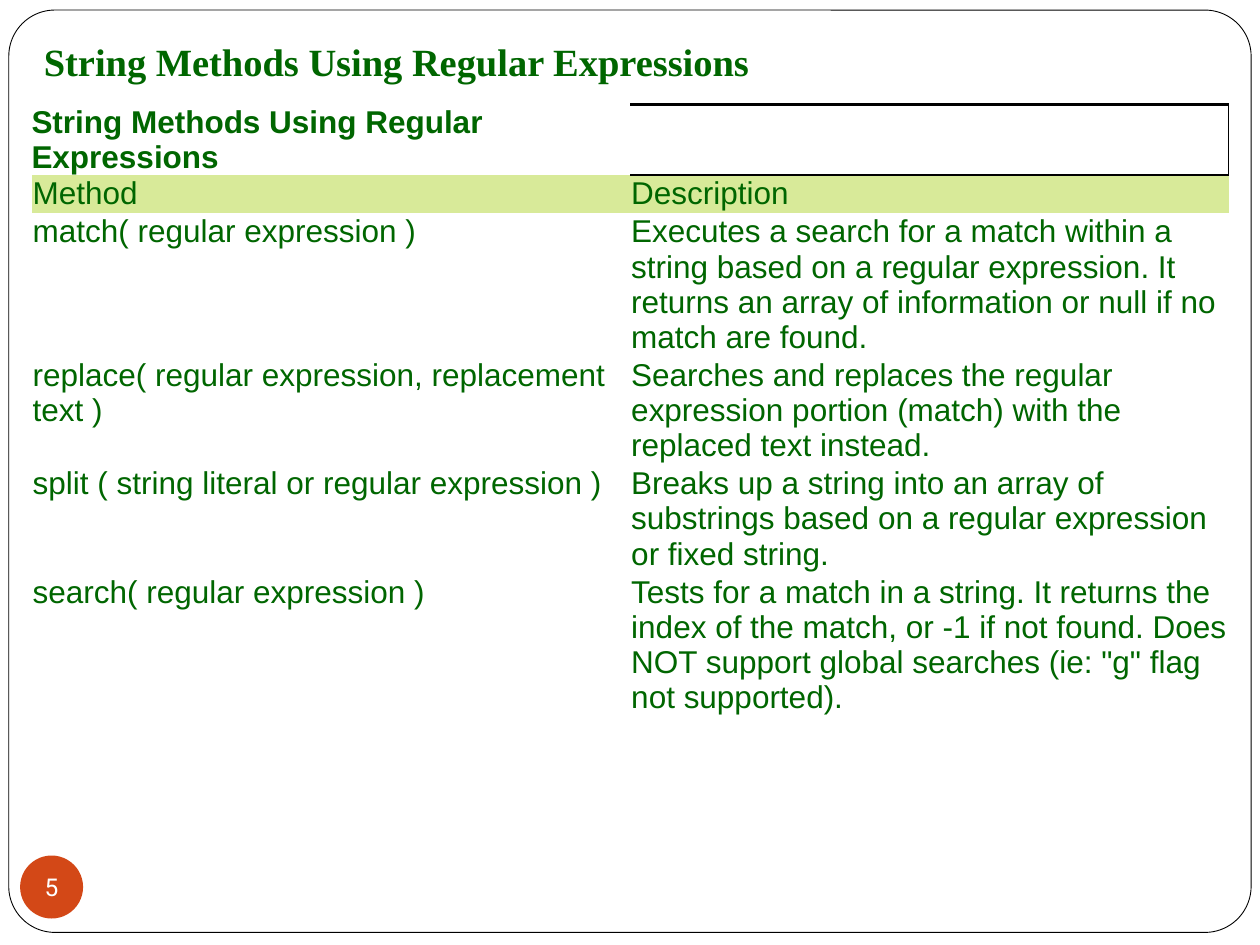
from lxml import etree
from pptx import Presentation
from pptx.dml.color import RGBColor
from pptx.enum.shapes import MSO_SHAPE
from pptx.enum.text import MSO_ANCHOR, PP_ALIGN
from pptx.oxml.ns import qn
from pptx.util import Inches, Pt

ROUNDED, ELLIPSE = MSO_SHAPE.ROUNDED_RECTANGLE, MSO_SHAPE.OVAL
MIDDLE, CENTER = MSO_ANCHOR.MIDDLE, PP_ALIGN.CENTER
GREEN, LIME, ORANGE, WHITE, BLACK = "006600", "D8EA99", "D34817", "FFFFFF", "000000"
NO_STYLE = "{2D5ABB26-0587-4C30-8999-92F81FD0307C}"
TITLE = "String Methods Using Regular Expressions"
MARGIN = 0.25
ROW_HEIGHTS = [0.44, 0.25, 0.93, 0.67, 0.69, 1.13]
ROWS = [
    (TITLE, ""),
    ("Method", "Description"),
    ("match( regular expression )",
     "Executes a search for a match within a string based on a regular expression. "
     "It returns an array of information or null if no match are found."),
    ("replace( regular expression, replacement text )",
     "Searches and replaces the regular expression portion (match) with the "
     "replaced text instead."),
    ("split ( string literal or regular expression )",
     "Breaks up a string into an array of substrings based on a regular expression "
     "or fixed string."),
    ("search( regular expression )",
     "Tests for a match in a string. It returns the index of the match, or -1 if not "
     'found. Does NOT support global searches (ie: "g" flag not supported).'),
]


def color(hex_value):
    """Turn a hex string into a colour."""
    return RGBColor.from_string(hex_value)


def write(frame, text, font_name, size, hex_value, bold=False):
    """Write one styled paragraph and return it."""
    paragraph = frame.paragraphs[0]
    paragraph.text = text
    font = paragraph.font
    font.name, font.size, font.bold = font_name, Pt(size), bold
    font.color.rgb = color(hex_value)
    return paragraph


def set_insets(holder, inset):
    """Give a cell or text frame the same inset on every side."""
    holder.margin_left = holder.margin_right = Inches(inset)
    holder.margin_top = holder.margin_bottom = Inches(inset)


def add_plain_shape(slide, kind, box, fill):
    """Add a filled preset shape without shadow."""
    shape = slide.shapes.add_shape(kind, *map(Inches, box))
    shape.shadow.inherit = False
    shape.fill.solid()
    shape.fill.fore_color.rgb = color(fill)
    return shape


def add_frame(slide):
    """Add the rounded outline around the slide."""
    frame = add_plain_shape(slide, ROUNDED, (0.07, 0.08, 9.86, 7.32), WHITE)
    frame.adjustments[0] = 0.05
    frame.line.color.rgb = color(BLACK)
    frame.line.width = Pt(0.5)


def add_page_badge(slide, number):
    """Add the round page number."""
    badge = add_plain_shape(slide, ELLIPSE, (0.16, 6.79, 0.5, 0.5), ORANGE)
    badge.line.fill.background()
    frame = badge.text_frame
    frame.word_wrap = False
    frame.vertical_anchor = MIDDLE
    set_insets(frame, 0)
    write(frame, number, "Roboto", 14, WHITE).alignment = CENTER


def add_title(slide):
    """Add the slide title."""
    box = slide.shapes.add_textbox(*map(Inches, (MARGIN, 0.25, 9.17, 0.47)))
    box.text_frame.word_wrap = True
    box.text_frame.vertical_anchor = MIDDLE
    write(box.text_frame, TITLE, "Times New Roman", 22, GREEN, bold=True)


def add_border(cell, side, width):
    """Draw a black border on one side of a cell."""
    properties = cell._tc.get_or_add_tcPr()
    line = etree.SubElement(properties, qn(f"a:{side}"), w=str(Pt(width)))
    fill = etree.SubElement(line, qn("a:solidFill"))
    etree.SubElement(fill, qn("a:srgbClr"), val=BLACK)


def add_method_table(slide):
    """Add the table of string methods."""
    box = (MARGIN, 0.83, 10 - 2 * MARGIN, sum(ROW_HEIGHTS))
    table = slide.shapes.add_table(len(ROWS), 2, *map(Inches, box)).table
    table.first_row = table.horz_banding = False
    table._tbl.tblPr.find(qn("a:tableStyleId")).text = NO_STYLE
    for side, width in (("lnR", 1), ("lnT", 1.5), ("lnB", 1)):
        add_border(table.cell(0, 1), side, width)
    for row, texts in enumerate(ROWS):
        table.rows[row].height = Inches(ROW_HEIGHTS[row])
        for column, text in enumerate(texts):
            cell = table.cell(row, column)
            set_insets(cell, 0.01 if row else 0)
            write(cell.text_frame, text, "Arial", 18, GREEN, bold=row == 0)
            if row == 1:
                cell.fill.solid()
                cell.fill.fore_color.rgb = color(LIME)
            else:
                cell.fill.background()


def main():
    """Build and save the slide."""
    presentation = Presentation()
    presentation.slide_width, presentation.slide_height = Inches(10), Inches(7.5)
    slide = presentation.slides.add_slide(presentation.slide_layouts[6])
    add_frame(slide)
    add_page_badge(slide, "5")
    add_method_table(slide)
    add_title(slide)
    presentation.save("out.pptx")


if __name__ == "__main__":
    main()
